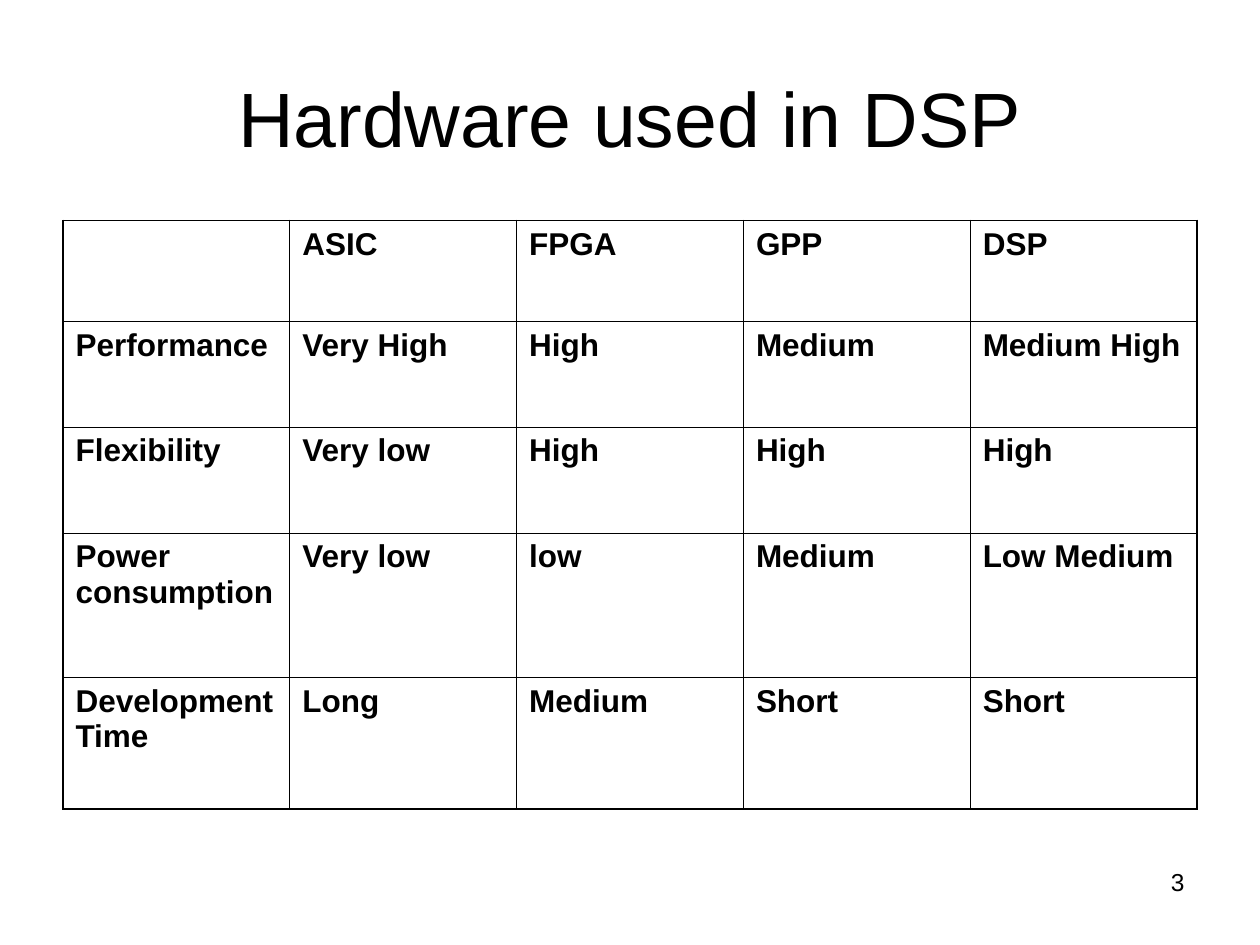
import dataclasses

import lxml.etree
import pptx
import pptx.dml.color
import pptx.enum.text
import pptx.oxml.ns
import pptx.table
import pptx.text.text
import pptx.util

Inches = pptx.util.Inches
Pt = pptx.util.Pt
BLACK = pptx.dml.color.RGBColor(0, 0, 0)
WHITE = pptx.dml.color.RGBColor(255, 255, 255)
ALIGN = pptx.enum.text.PP_ALIGN
THIN, THICK = 0.45, 1.08


@dataclasses.dataclass
class Row:
    height: float
    cells: tuple[str, ...]


ROWS = (
    Row(0.8, ("", "ASIC", "FPGA", "GPP", "DSP")),
    Row(0.84, ("Performance", "Very High", "High", "Medium", "Medium High")),
    Row(0.84, ("Flexibility", "Very low", "High", "High", "High")),
    Row(1.15, ("Power consumption", "Very low", "low", "Medium", "Low Medium")),
    Row(1.04, ("Development Time", "Long", "Medium", "Short", "Short")),
)


def style(frame: pptx.text.text.TextFrame, size: float, align: ALIGN, bold: bool = False) -> None:
    """Format every run of a text frame."""
    for para in frame.paragraphs:
        para.alignment = align
        for run in para.runs:
            run.font.name = "Arial"
            run.font.size = Pt(size)
            run.font.bold = bold
            run.font.color.rgb = BLACK


def border(cell: pptx.table._Cell, side: str, width: float) -> None:
    """Draw one solid edge of a cell."""
    qn = pptx.oxml.ns.qn
    props = cell._tc.get_or_add_tcPr()
    line = lxml.etree.SubElement(props, qn(f"a:ln{side}"), w=str(Pt(width)))
    fill = lxml.etree.SubElement(line, qn("a:solidFill"))
    lxml.etree.SubElement(fill, qn("a:srgbClr"), val=str(BLACK))


def main() -> None:
    deck = pptx.Presentation()
    deck.slide_width, deck.slide_height = Inches(10), Inches(7.5)
    slide = deck.slides.add_slide(deck.slide_layouts[5])
    slide.background.fill.solid()
    slide.background.fill.fore_color.rgb = WHITE

    # Title
    title = slide.shapes.title
    title.left, title.top = Inches(0.5), Inches(0.3)
    title.width, title.height = Inches(9), Inches(1.25)
    title.text_frame.text = "Hardware used in DSP"
    title.text_frame.vertical_anchor = pptx.enum.text.MSO_ANCHOR.MIDDLE
    style(title.text_frame, 44, ALIGN.CENTER)

    # Comparison table
    last = len(ROWS) - 1
    count = len(ROWS[0].cells)
    height = sum(row.height for row in ROWS)
    table = slide.shapes.add_table(
        len(ROWS), count, Inches(0.5), Inches(1.75), Inches(9), Inches(height)
    ).table
    table.first_row = table.horz_banding = False
    for r, row in enumerate(ROWS):
        table.rows[r].height = Inches(row.height)
        for c, text in enumerate(row.cells):
            cell = table.cell(r, c)
            cell.text_frame.text = text
            style(cell.text_frame, 18, ALIGN.LEFT, True)
            # Outer edges are thicker than the inner grid
            edges = {"L": c == 0, "R": c == count - 1, "T": r == 0, "B": r == last}
            for side, outer in edges.items():
                border(cell, side, THICK if outer else THIN)
            cell.fill.background()

    # Slide number
    box = slide.shapes.add_textbox(Inches(7.17), Inches(6.83), Inches(2.33), Inches(0.52))
    box.text_frame.word_wrap = True
    box.text_frame.text = "3"
    style(box.text_frame, 14, ALIGN.RIGHT)

    deck.save("out.pptx")


if __name__ == "__main__":
    main()
